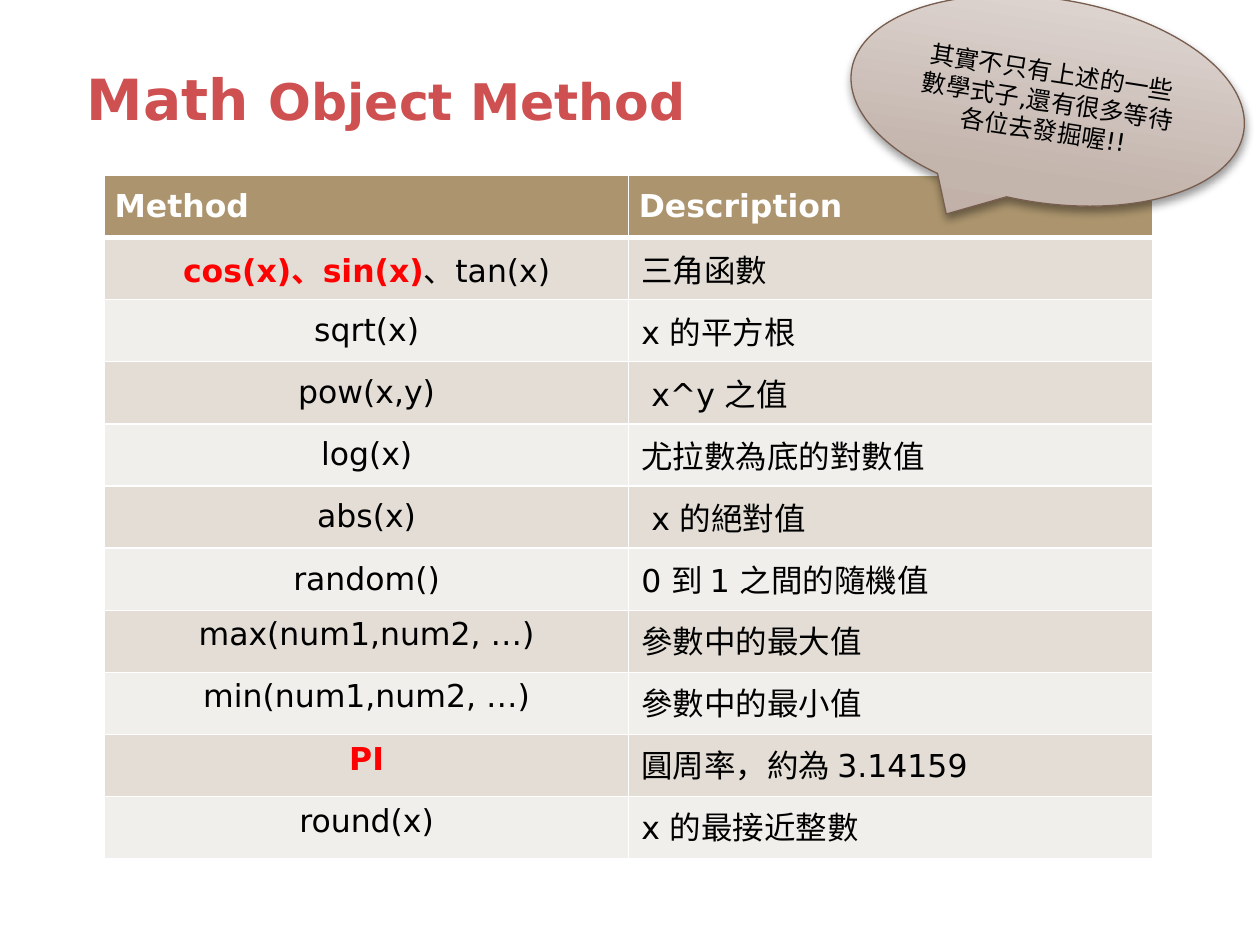
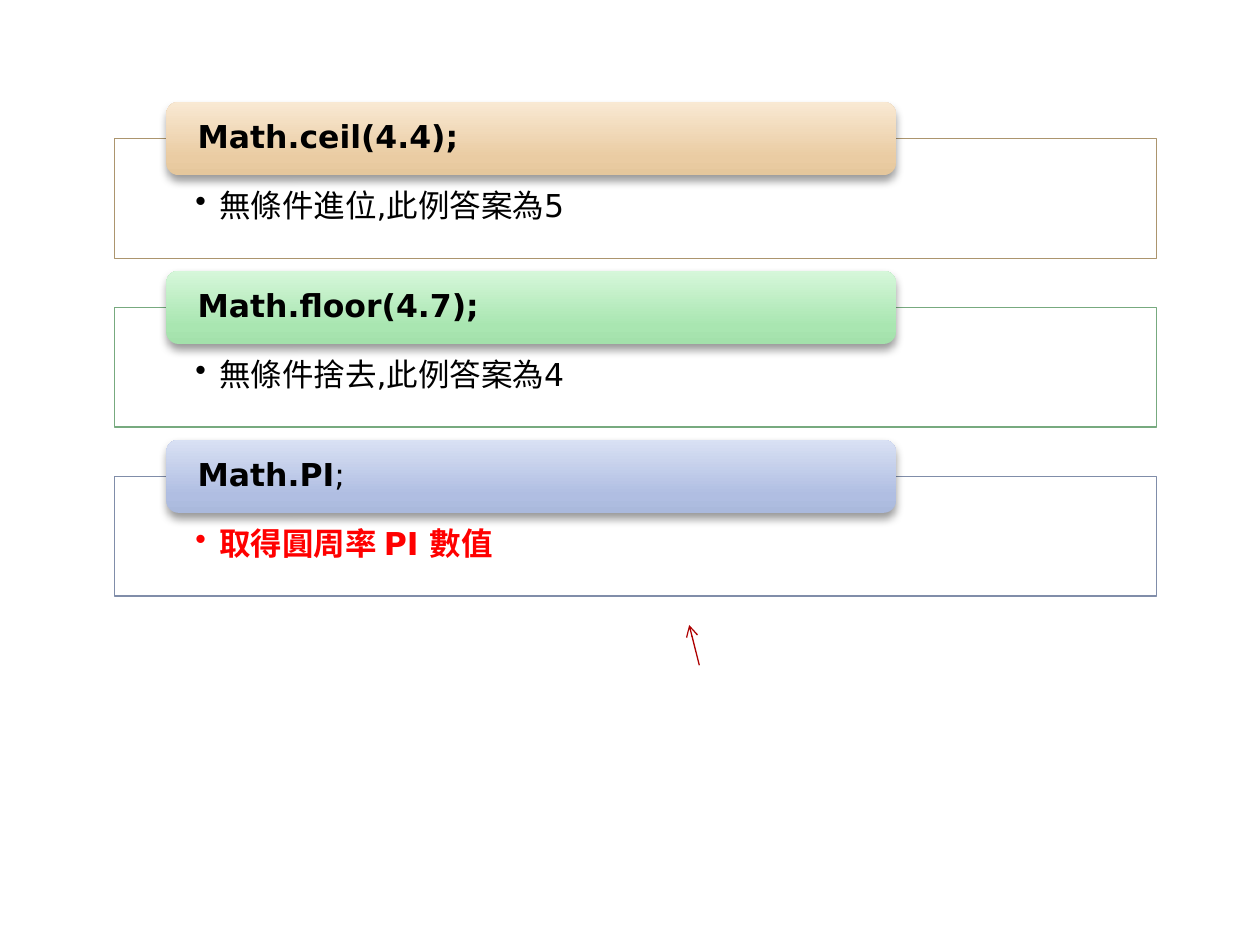
from copy import deepcopy
from lxml.etree import SubElement
from pptx import Presentation
from pptx.dml.color import RGBColor
from pptx.enum.shapes import MSO_CONNECTOR as LINE, MSO_SHAPE as SHAPE
from pptx.enum.text import MSO_ANCHOR as ANCHOR, MSO_AUTO_SIZE as FIT, PP_ALIGN as ALIGN
from pptx.oxml.ns import qn
from pptx.util import Inches, Pt

FONT = "DejaVu Sans"
BLACK = RGBColor(0x00, 0x00, 0x00)
WHITE = RGBColor(0xFF, 0xFF, 0xFF)
RED = RGBColor(0xFF, 0x00, 0x00)
ROSE = RGBColor(0xCE, 0x50, 0x50)
MAROON = RGBColor(0xAE, 0x00, 0x00)
BROWN = RGBColor(0x79, 0x5E, 0x4F)
TAN = RGBColor(0xAC, 0x95, 0x6E)
GREEN = RGBColor(0x77, 0xAA, 0x7F)
BLUE = RGBColor(0x80, 0x8D, 0xA9)
BANDS = [RGBColor(0xE3, 0xDD, 0xD5), RGBColor(0xF1, 0xEF, 0xEB)]

# Gradient colours, from the bottom edge to the top
CLAY = [RGBColor(0xBC, 0xAC, 0xA4), RGBColor(0xC3, 0xB4, 0xAC), RGBColor(0xE6, 0xDE, 0xDB)]
SAND = [RGBColor(0xE5, 0xC7, 0x9C), RGBColor(0xEA, 0xCC, 0xA3), RGBColor(0xF9, 0xE9, 0xD3)]
MINT = [RGBColor(0xA3, 0xE1, 0xAB), RGBColor(0xA9, 0xE6, 0xB1), RGBColor(0xD6, 0xF7, 0xDA)]
SKY = [RGBColor(0xAA, 0xB9, 0xDC), RGBColor(0xB0, 0xBE, 0xE2), RGBColor(0xD9, 0xE1, 0xF4)]


def write(par, *parts):
    """Fill a paragraph with runs given as (text, size, colour, bold)."""
    for text, size, color, bold in parts:
        run = par.add_run()
        run.text = text
        run.font.name = FONT
        run.font.size = Pt(size)
        run.font.bold = bold
        run.font.color.rgb = color


def raise_up(shape, colors):
    """Give a shape a three-stop vertical gradient and a soft shadow below."""
    shape.fill.gradient()
    shape.fill.gradient_angle = 90
    props = shape._element.spPr
    stops = props.find(".//" + qn("a:gsLst"))
    stops.append(deepcopy(stops[-1]))
    for stop, place, color in zip(shape.fill.gradient_stops, [0, 0.25, 1], colors):
        stop.position = place
        stop.color.rgb = color
    shape.shadow.inherit = False
    glow = SubElement(props.find(qn("a:effectLst")), qn("a:outerShdw"),
                      blurRad=str(Pt(5.2)), dist=str(Pt(3)), dir="5400000", rotWithShape="0")
    tint = SubElement(glow, qn("a:srgbClr"), val=str(BLACK))
    SubElement(tint, qn("a:alpha"), val="40000")


deck = Presentation()
deck.slide_width = Inches(10)
deck.slide_height = Inches(7.5)

# Slide 1: table of methods
slide = deck.slides.add_slide(deck.slide_layouts[5])
title = slide.shapes.title
title.left, title.top = Inches(0.59), Inches(0.52)
title.width, title.height = Inches(5.83), Inches(0.55)
frame = title.text_frame
frame.auto_size = FIT.NONE
frame.vertical_anchor = ANCHOR.BOTTOM
frame.margin_bottom = Inches(0.02)
frame.paragraphs[0].alignment = ALIGN.LEFT
write(frame.paragraphs[0], ("Math ", 32.4, ROSE, True), ("Object Method", 28.8, ROSE, True))

# Each row: red part of the method, plain part, description
ROWS = [
    ("cos(x)、sin(x)", "、tan(x)", "三角函數"),
    ("", "sqrt(x)", "x 的平方根"),
    ("", "pow(x,y)", " x^y 之值"),
    ("", "log(x)", "尤拉數為底的對數值"),
    ("", "abs(x)", " x 的絕對值"),
    ("", "random()", "0 到 1 之間的隨機值"),
    ("", "max(num1,num2, …)", "參數中的最大值"),
    ("", "min(num1,num2, …)", "參數中的最小值"),
    ("PI", "", "圓周率，約為 3.14159"),
    ("", "round(x)", "x 的最接近整數"),
]
table = slide.shapes.add_table(len(ROWS) + 1, 2, Inches(0.83), Inches(1.39),
                               Inches(8.32), Inches(5.43)).table

for cell, head in zip(table.rows[0].cells, ["Method", "Description"]):
    write(cell.text_frame.paragraphs[0], (head, 18, WHITE, True))
    cell.margin_left = cell.margin_right = Inches(0.08)
    cell.margin_top = cell.margin_bottom = Inches(0.08)

for num, (key, rest, note) in enumerate(ROWS, 1):
    name, text = [cell.text_frame.paragraphs[0] for cell in table.rows[num].cells]
    name.alignment = ALIGN.CENTER
    parts = [(key, 18, RED, True), (rest, 18, BLACK, False)]
    write(name, *[part for part in parts if part[0]])
    write(text, (note, 18, BLACK, False))

for num, row in enumerate(table.rows):
    for cell in row.cells:
        cell.vertical_anchor = ANCHOR.MIDDLE if num < 7 else ANCHOR.TOP
        props = cell._tc.get_or_add_tcPr()
        for side in ["lnL", "lnR", "lnT", "lnB"]:
            thick = (num, side) in [(0, "lnB"), (1, "lnT")]
            edge = SubElement(props, qn("a:" + side), w=str(Pt(3 if thick else 1)))
            paint = SubElement(edge, qn("a:solidFill"))
            SubElement(paint, qn("a:srgbClr"), val=str(WHITE))
        cell.fill.solid()
        cell.fill.fore_color.rgb = BANDS[(num - 1) % 2] if num else TAN

bubble = slide.shapes.add_shape(SHAPE.OVAL_CALLOUT, Inches(6.74), Inches(-0.01),
                                Inches(3.15), Inches(1.62))
bubble.rotation = 8.9
raise_up(bubble, CLAY)
bubble.line.color.rgb = BROWN
bubble.line.width = Pt(0.75)
frame = bubble.text_frame
frame.word_wrap = True
frame.vertical_anchor = ANCHOR.MIDDLE
frame.paragraphs[0].alignment = ALIGN.CENTER
write(frame.paragraphs[0],
      ("其實不只有上述的一些數學式子,還有很多等待各位去發掘喔!!", 14, BLACK, False))

# Slide 2: three labelled panels
slide = deck.slides.add_slide(deck.slide_layouts[6])
PANELS = [
    (TAN, SAND, "Math.ceil(4.4);", "", "無條件進位,此例答案為5", BLACK),
    (GREEN, MINT, "Math.floor(4.7);", "", "無條件捨去,此例答案為4", BLACK),
    (BLUE, SKY, "Math.PI", ";", "取得圓周率 PI 數值", RED),
]
for num, (edge, shades, call, end, note, ink) in enumerate(PANELS):
    top = 1.1 + 1.34 * num
    panel = slide.shapes.add_shape(SHAPE.RECTANGLE, Inches(0.91), Inches(top),
                                   Inches(8.27), Inches(0.95))
    panel.shadow.inherit = False
    panel.fill.solid()
    panel.fill.fore_color.rgb = WHITE
    tint = panel._element.spPr.find(qn("a:solidFill"))[0]
    SubElement(tint, qn("a:alpha"), val="90000")
    panel.line.color.rgb = edge
    panel.line.width = Pt(0.75)
    frame = panel.text_frame
    frame.word_wrap = True
    frame.vertical_anchor = ANCHOR.TOP
    frame.margin_left = frame.margin_right = Inches(0.64)
    frame.margin_top, frame.margin_bottom = Inches(0.41), Inches(0.14)
    item = frame.paragraphs[0]
    item.alignment = ALIGN.LEFT
    item.line_spacing = 0.9
    props = item._p.get_or_add_pPr()
    props.set("marL", str(Inches(0.19)))
    props.set("indent", str(Inches(-0.19)))
    SubElement(props, qn("a:buChar"), char="•")
    write(item, (note, 18, ink, ink == RED))

    tab = slide.shapes.add_shape(SHAPE.ROUNDED_RECTANGLE, Inches(1.32), Inches(top - 0.29),
                                 Inches(5.79), Inches(0.58))
    raise_up(tab, shades)
    tab.line.fill.background()
    frame = tab.text_frame
    frame.word_wrap = True
    frame.vertical_anchor = ANCHOR.MIDDLE
    frame.margin_left = frame.margin_right = Inches(0.22)
    frame.margin_top = frame.margin_bottom = 0
    label = frame.paragraphs[0]
    label.alignment = ALIGN.LEFT
    label.line_spacing = 0.9
    write(label, (call, 18, BLACK, True))
    if end:
        write(label, (end, 18, BLACK, False))

arrow = slide.shapes.add_connector(LINE.STRAIGHT, Inches(5.55), Inches(5.28),
                                   Inches(5.47), Inches(4.96))
arrow.line.color.rgb = MAROON
arrow.line.width = Pt(0.75)
SubElement(arrow.line._get_or_add_ln(), qn("a:tailEnd"), type="arrow")
SubElement(arrow._element.spPr, qn("a:effectLst"))

deck.save("out.pptx")
